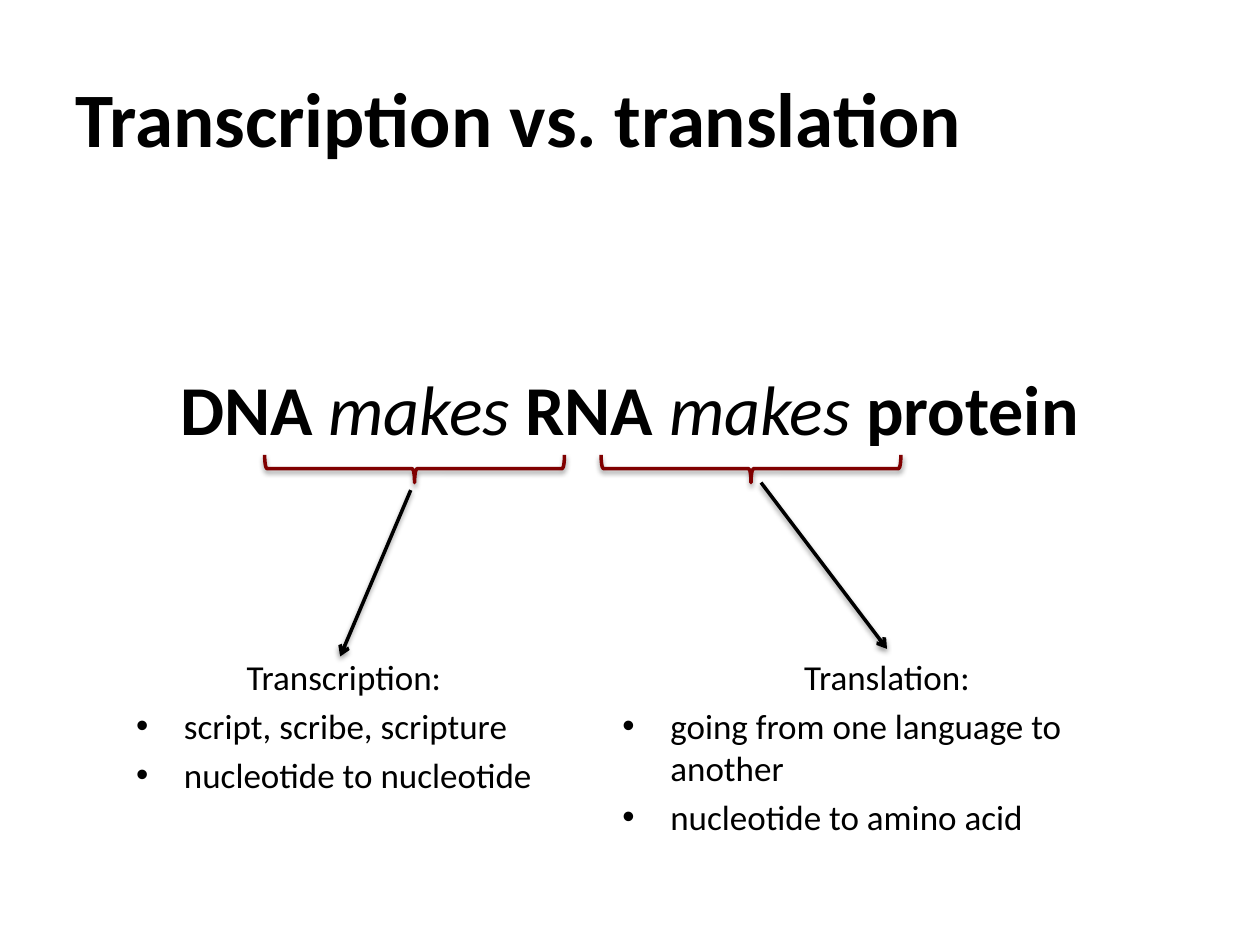
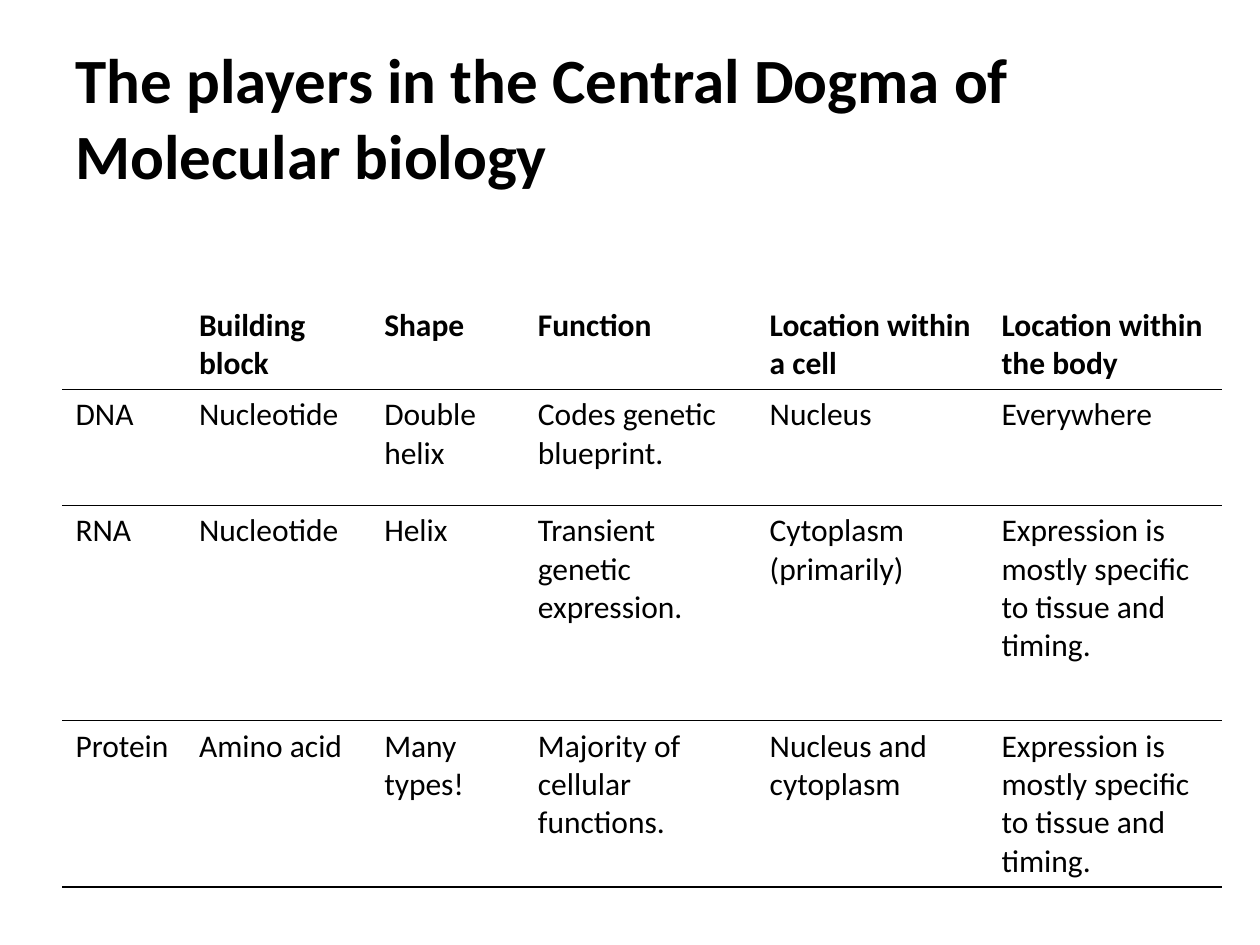
from dataclasses import dataclass

from lxml.etree import SubElement
from pptx import Presentation
from pptx.dml.color import RGBColor
from pptx.enum.shapes import MSO_CONNECTOR, MSO_SHAPE
from pptx.enum.text import MSO_ANCHOR, MSO_AUTO_SIZE, PP_ALIGN
from pptx.oxml.ns import qn
from pptx.util import Inches, Pt


@dataclass(frozen=True)
class Theme:
    face: str = "Calibri"
    ink: str = "000000"
    paper: str = "FFFFFF"
    brace: str = "800000"
    title: int = 44
    long: int = 36
    lead: int = 40
    body: int = 20
    cell: int = 18
    rule: int = 2
    edge: int = 1
    gap: int = 4


def apply(target, values):
    for name, value in values.items():
        setattr(target, name, value)


def place(shape, box):
    names = ("left", "top", "width", "height")
    apply(shape, dict(zip(names, map(Inches, box))))


def add_node(parent, tag, **values):
    node = SubElement(parent, qn(tag))
    for name, value in values.items():
        node.set(name, str(value))
    return node


class Deck:
    def __init__(self, theme):
        self.theme = theme
        self.show = Presentation()
        self.show.slide_width = Inches(10)
        self.show.slide_height = Inches(7.5)
        self.slide = None

    def start(self, layout, title, size):
        self.slide = self.show.slides.add_slide(self.show.slide_layouts[layout])
        shape = self.slide.shapes.title
        place(shape, (0.5, 0.3, 9, 1.25))
        self.frame(shape, MSO_ANCHOR.MIDDLE)
        para = shape.text_frame.paragraphs[0]
        para.alignment = PP_ALIGN.LEFT
        self.add_text(para, title, size, bold=True)

    def frame(self, shape, anchor=MSO_ANCHOR.TOP):
        apply(shape.text_frame, {
            "word_wrap": True,
            "auto_size": MSO_AUTO_SIZE.NONE,
            "vertical_anchor": anchor,
        })

    def add_text(self, para, text, size, **style):
        run = para.add_run()
        run.text = text
        apply(run.font, {"name": self.theme.face, "size": Pt(size), **style})
        run.font.color.rgb = RGBColor.from_string(self.theme.ink)

    def list(self, slot, box, head, items):
        shape = self.slide.placeholders[slot]
        place(shape, box)
        self.frame(shape)
        frame = shape.text_frame
        first = frame.paragraphs[0]
        apply(first, {"alignment": PP_ALIGN.CENTER, "space_before": Pt(0)})
        props = first._p.get_or_add_pPr()
        props.set("marL", "0")
        props.set("indent", "0")
        add_node(props, "a:buNone")
        self.add_text(first, head, self.theme.body)
        for item in items:
            para = frame.add_paragraph()
            para.space_before = Pt(self.theme.gap)
            props = para._p.get_or_add_pPr()
            props.set("marL", str(Inches(0.38)))
            props.set("indent", str(Inches(-0.38)))
            add_node(props, "a:buFont", typeface="Arial")
            add_node(props, "a:buChar", char="•")
            self.add_text(para, item, self.theme.body)

    def lead(self, box, parts):
        shape = self.slide.shapes.add_textbox(*map(Inches, box))
        self.frame(shape)
        para = shape.text_frame.paragraphs[0]
        para.alignment = PP_ALIGN.CENTER
        for text, style in parts:
            self.add_text(para, text, self.theme.lead, **{style: True})

    def stroke(self, shape, color):
        shape.line.width = Pt(self.theme.rule)
        shape.line.color.rgb = RGBColor.from_string(color)
        glow = add_node(shape.element.spPr, "a:effectLst")
        shade = add_node(glow, "a:outerShdw", blurRad=Pt(3.1), dist=Pt(1.6),
                         dir=90 * 60000, rotWithShape=0)
        tint = add_node(shade, "a:srgbClr", val=self.theme.ink)
        add_node(tint, "a:alpha", val=38000)

    def brace(self, left, top, width, height):
        shape = self.slide.shapes.add_shape(
            MSO_SHAPE.RIGHT_BRACE, *map(Inches, (left, top, width, height)))
        shape.rotation = 90
        shape.fill.background()
        self.stroke(shape, self.theme.brace)

    def arrow(self, start, end):
        shape = self.slide.shapes.add_connector(
            MSO_CONNECTOR.STRAIGHT, *map(Inches, start + end))
        self.stroke(shape, self.theme.ink)
        add_node(shape.element.spPr.find(qn("a:ln")), "a:tailEnd", type="arrow")

    def border(self, cell, head):
        props = cell._tc.get_or_add_tcPr()
        theme = self.theme
        top = theme.paper if head else theme.ink
        sides = {"L": theme.paper, "R": theme.paper, "T": top, "B": theme.ink}
        for side, color in sides.items():
            line = add_node(props, f"a:ln{side}", w=Pt(theme.edge))
            fill = add_node(line, "a:solidFill")
            add_node(fill, "a:srgbClr", val=color)

    def table(self, spot, widths, heights, rows):
        size = (sum(widths), sum(heights))
        table = self.slide.shapes.add_table(
            len(rows), len(widths), *map(Inches, spot + size)).table
        apply(table, {"first_row": False, "horz_banding": False})
        for column, width in zip(table.columns, widths):
            column.width = Inches(width)
        for r, (height, row) in enumerate(zip(heights, rows)):
            table.rows[r].height = Inches(height)
            for c, text in enumerate(row):
                cell = table.cell(r, c)
                self.border(cell, r == 0)
                cell.fill.solid()
                cell.fill.fore_color.rgb = RGBColor.from_string(self.theme.paper)
                if text:
                    self.add_text(cell.text_frame.paragraphs[0], text,
                                  self.theme.cell, bold=r == 0)


def main():
    theme = Theme()
    deck = Deck(theme)

    deck.start(3, "Transcription vs. translation", theme.title)
    deck.list(1, (0.98, 5.15, 3.5, 1.14), "Transcription:",
              ["script, scribe, scripture", "nucleotide to nucleotide"])
    deck.lead((0.81, 2.85, 8.37, 1.37), [
        ("DNA ", "bold"), ("makes ", "italic"), ("RNA ", "bold"),
        ("makes ", "italic"), ("protein", "bold"),
    ])
    deck.list(2, (4.84, 5.15, 4.4, 1.33), "Translation:",
              ["going from one language to another", "nucleotide to amino acid"])
    for left in (3.18, 5.85):
        deck.brace(left, 2.53, 0.22, 2.38)
    deck.arrow((3.26, 3.89), (2.7, 5.21))
    deck.arrow((6.04, 3.83), (7.04, 5.15))

    deck.start(5, "The players in the Central Dogma of Molecular biology",
               theme.long)
    where = "Expression is mostly specific to tissue and timing."
    deck.table((0.5, 2.38), (0.98, 1.47, 1.22, 1.84, 1.84, 1.84),
               (0.71, 0.92, 1.71, 1.32), [
        ["", "Building block", "Shape", "Function",
         "Location within a cell", "Location within the body"],
        ["DNA", "Nucleotide", "Double helix", "Codes genetic blueprint.",
         "Nucleus", "Everywhere"],
        ["RNA", "Nucleotide", "Helix", "Transient genetic expression.",
         "Cytoplasm (primarily)", where],
        ["Protein", "Amino acid", "Many types!",
         "Majority of cellular functions.", "Nucleus and cytoplasm", where],
    ])

    deck.show.save("out.pptx")


if __name__ == "__main__":
    main()
